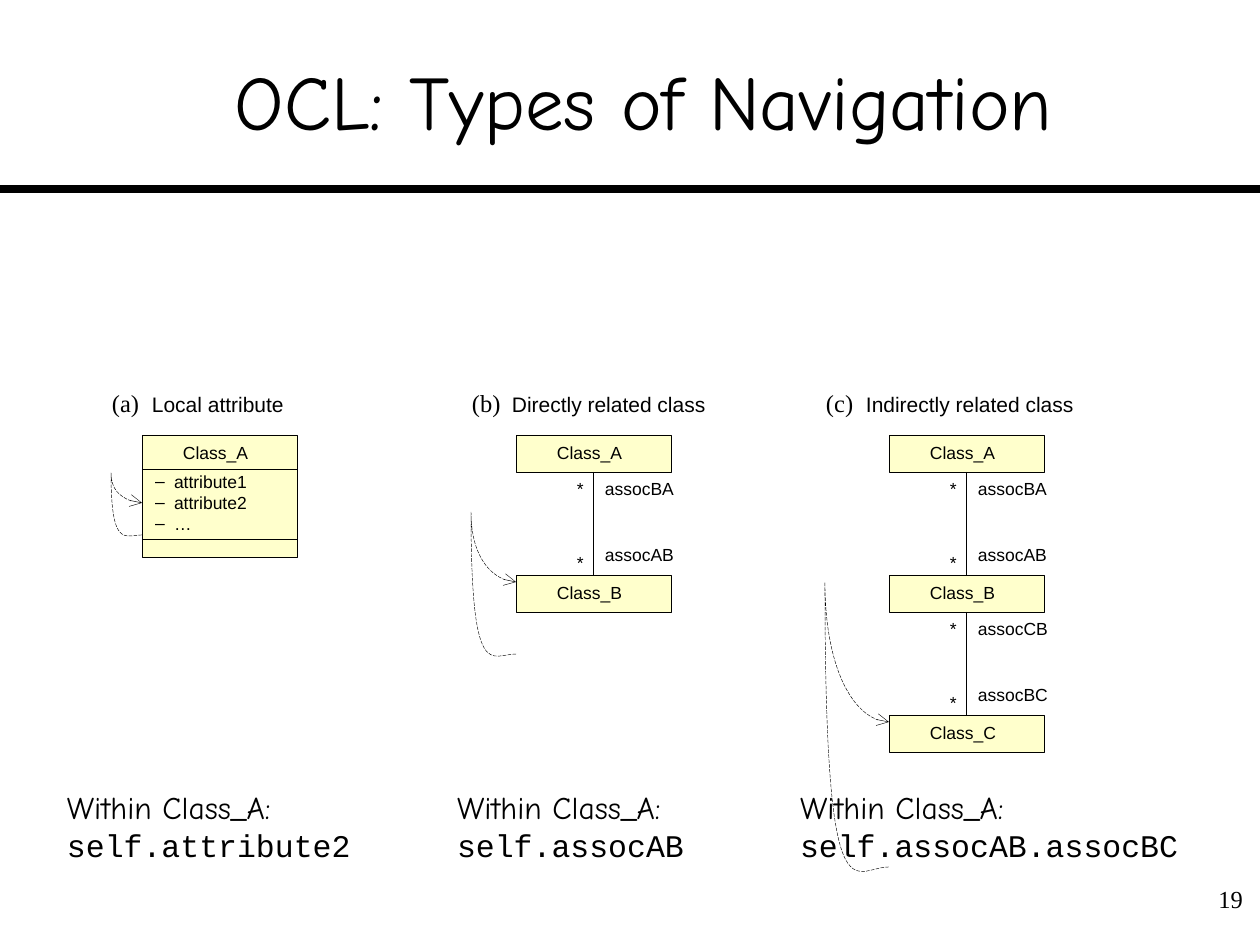
from dataclasses import dataclass

import lxml.etree
import pptx
import pptx.dml.color
import pptx.enum.dml
import pptx.enum.shapes
import pptx.enum.text
import pptx.oxml.ns
import pptx.util

EMU_PER_PX = 914400 / 126
BLACK = pptx.dml.color.RGBColor(0x00, 0x00, 0x00)
CLASS_FILL = pptx.dml.color.RGBColor(0xFF, 0xFF, 0xCC)
SANS, SERIF, HAND, MONO = "Arial", "Times New Roman", "Comic Neue", "Courier New"

CLASS_WIDTH, CLASS_HEIGHT = 155, 37
CLASS_TOP, CLASS_PITCH = 435, 140
HAIRLINE = 0.25
LEFT = pptx.enum.text.PP_ALIGN.LEFT
CENTER = pptx.enum.text.PP_ALIGN.CENTER
RIGHT = pptx.enum.text.PP_ALIGN.RIGHT


@dataclass(frozen=True)
class Box:
    left: int
    top: int
    width: int
    height: int


@dataclass(frozen=True)
class NavigationArrow:
    left: int
    right: int
    top: int
    bottom: int
    tip: int


@dataclass(frozen=True)
class Panel:
    letter: str
    title: str
    caption: Box
    class_left: int
    classes: tuple[str, ...]
    roles: tuple[tuple[str, str], ...]
    arrow: NavigationArrow
    expression: str
    expression_box: Box


ATTRIBUTES = ("attribute1", "attribute2", "…")
PANELS = (
    Panel("(a)", "Local attribute", Box(111, 388, 178, 29), 142, ("Class_A",), (),
          NavigationArrow(111, 142, 473, 535, 503),
          "self.attribute2", Box(67, 788, 287, 76)),
    Panel("(b)", "Directly related class", Box(471, 388, 241, 29), 516,
          ("Class_A", "Class_B"), (("assocBA", "assocAB"),),
          NavigationArrow(471, 516, 512, 654, 582),
          "self.assocAB", Box(457, 788, 231, 76)),
    Panel("(c)", "Indirectly related class", Box(825, 388, 256, 29), 889,
          ("Class_A", "Class_B", "Class_C"),
          (("assocBA", "assocAB"), ("assocCB", "assocBC")),
          NavigationArrow(825, 889, 582, 867, 722),
          "self.assocAB.assocBC", Box(800, 788, 384, 76)),
)


def px(length: float) -> pptx.util.Emu:
    return pptx.util.Emu(round(length * EMU_PER_PX))


def add_xml(parent, tag: str, **attributes):
    return lxml.etree.SubElement(parent, pptx.oxml.ns.qn(tag), attributes)


def format_run(run, font: str, size: int) -> None:
    run.font.name = font
    run.font.size = pptx.util.Pt(size)
    run.font.color.rgb = BLACK


def set_insets(frame, left: int, top: int, right: int, bottom: int) -> None:
    frame.margin_left, frame.margin_top = px(left), px(top)
    frame.margin_right, frame.margin_bottom = px(right), px(bottom)


def add_text(slide, box: Box, text: str, fonts: tuple[str, ...], size: int,
             insets=(1, 0, 1, 0), align=LEFT, wrap: bool = False):
    """Add a text box whose paragraphs take one font each."""
    frame = slide.shapes.add_textbox(
        px(box.left), px(box.top), px(box.width), px(box.height)).text_frame
    frame.text = text
    frame.word_wrap = wrap
    if not wrap:
        frame.auto_size = pptx.enum.text.MSO_AUTO_SIZE.SHAPE_TO_FIT_TEXT
    set_insets(frame, *insets)
    for paragraph, font in zip(frame.paragraphs, fonts):
        paragraph.alignment = align
        format_run(paragraph.runs[0], font, size)
    return frame


def add_line(slide, start: tuple[int, int], end: tuple[int, int], width: float = HAIRLINE):
    line = slide.shapes.add_connector(
        pptx.enum.shapes.MSO_CONNECTOR.STRAIGHT, *map(px, start + end))
    line.line.color.rgb = BLACK
    line.line.width = pptx.util.Pt(width)
    add_xml(line._element.spPr, "a:effectLst")
    return line


def add_class(slide, box: Box, name: str, attributes: tuple[str, ...] = ()):
    shape = slide.shapes.add_shape(
        pptx.enum.shapes.MSO_SHAPE.RECTANGLE,
        px(box.left), px(box.top), px(box.width), px(box.height))
    shape.shadow.inherit = False
    shape.fill.solid()
    shape.fill.fore_color.rgb = CLASS_FILL
    shape.line.color.rgb = BLACK
    shape.line.width = pptx.util.Pt(HAIRLINE)
    frame = shape.text_frame
    frame.text = "\n".join((name,) + attributes)
    frame.word_wrap = True
    frame.vertical_anchor = pptx.enum.text.MSO_ANCHOR.TOP
    set_insets(frame, 13, 7, 0, 0)
    for index, paragraph in enumerate(frame.paragraphs):
        paragraph.alignment = LEFT
        format_run(paragraph.runs[0], SANS, 10)
        properties = paragraph._p.get_or_add_pPr()
        properties.set("marL", str(px(19 if index else 28)))
        if index:
            properties.set("indent", str(-px(19)))
            add_xml(properties, "a:buFont", typeface=SANS)
            add_xml(properties, "a:buChar", char="–")
        if index == 1:
            paragraph.space_before = pptx.util.Pt(4.6)
    return shape


def add_association(slide, upper, lower, left: int, top: int, roles: tuple[str, str]) -> None:
    """Join two classes and label both ends; left and top are those of the upper class."""
    line = add_line(slide, (left, top), (left, top))
    line.begin_connect(upper, 2)
    line.end_connect(lower, 0)
    for role, star_offset, role_offset in zip(roles, (43, 117), (43, 109)):
        add_text(slide, Box(left + 60, top + star_offset, 9, 21), "*", (SANS,), 10)
        add_text(slide, Box(left + 88, top + role_offset, 72, 21), role, (SANS,), 10)


def add_navigation_arrow(slide, arrow: NavigationArrow) -> None:
    """Draw a dashed open curve of two Bézier segments ending in an arrowhead."""
    width, height = arrow.right - arrow.left, arrow.bottom - arrow.top
    tip = arrow.tip - arrow.top
    builder = slide.shapes.build_freeform(arrow.right, arrow.bottom, EMU_PER_PX)
    builder.add_line_segments(
        [(arrow.left, arrow.top), (arrow.right, arrow.tip)], close=False)
    curve = builder.convert_to_shape()
    curve.shadow.inherit = False
    curve.fill.background()
    curve.line.color.rgb = BLACK
    curve.line.width = pptx.util.Pt(HAIRLINE)
    curve.line.dash_style = pptx.enum.dml.MSO_LINE.LONG_DASH
    add_xml(curve._element.spPr.find(pptx.oxml.ns.qn("a:ln")), "a:tailEnd", type="arrow")

    bend = 0.44 * width
    controls = (((bend, height), (0, 1.22 * height)),
                ((0, 0.55 * tip), (bend, tip)))
    segments = list(curve._element.iter(pptx.oxml.ns.qn("a:lnTo")))
    for segment, handles in zip(segments, controls):
        segment.tag = pptx.oxml.ns.qn("a:cubicBezTo")
        for position, (x, y) in enumerate(handles):
            handle = add_xml(segment, "a:pt", x=str(round(x)), y=str(round(y)))
            segment.insert(position, handle)


def add_panel(slide, panel: Panel) -> None:
    caption = add_text(slide, panel.caption, panel.letter, (SERIF,), 14).paragraphs[0]
    title = caption.add_run()
    title.text = "\t" + panel.title
    format_run(title, SANS, 12)
    tabs = add_xml(caption._p.get_or_add_pPr(), "a:tabLst")
    add_xml(tabs, "a:tab", pos=str(px(40)), algn="l")

    left = panel.class_left
    tops = [CLASS_TOP + CLASS_PITCH * row for row in range(len(panel.classes))]
    if panel.roles:
        shapes = [add_class(slide, Box(left, top, CLASS_WIDTH, CLASS_HEIGHT), name)
                  for top, name in zip(tops, panel.classes)]
        for upper, lower, top, roles in zip(shapes, shapes[1:], tops, panel.roles):
            add_association(slide, upper, lower, left, top, roles)
    else:
        add_class(slide, Box(left, CLASS_TOP, CLASS_WIDTH, 122), panel.classes[0], ATTRIBUTES)
        for divider in (469, 539):
            add_line(slide, (left, divider), (left + CLASS_WIDTH, divider))
    add_navigation_arrow(slide, panel.arrow)
    add_text(slide, panel.expression_box, "Within Class_A:\n" + panel.expression,
             (HAND, MONO), 18, insets=(0, 0, 0, 0))


def main() -> None:
    presentation = pptx.Presentation()
    presentation.slide_width, presentation.slide_height = px(1260), px(945)
    slide = presentation.slides.add_slide(presentation.slide_layouts[6])
    add_line(slide, (0, 189), (1260, 189), 4.5)
    add_text(slide, Box(1178, 878, 78, 63), "19", (SERIF,), 14, (13, 6, 13, 6), RIGHT, True)
    heading = add_text(slide, Box(53, 21, 1182, 158), "OCL: Types of Navigation",
                       (HAND,), 44, (0, 6, 0, 6), CENTER, True)
    heading.vertical_anchor = pptx.enum.text.MSO_ANCHOR.MIDDLE
    for panel in PANELS:
        add_panel(slide, panel)
    presentation.save("out.pptx")


if __name__ == "__main__":
    main()
